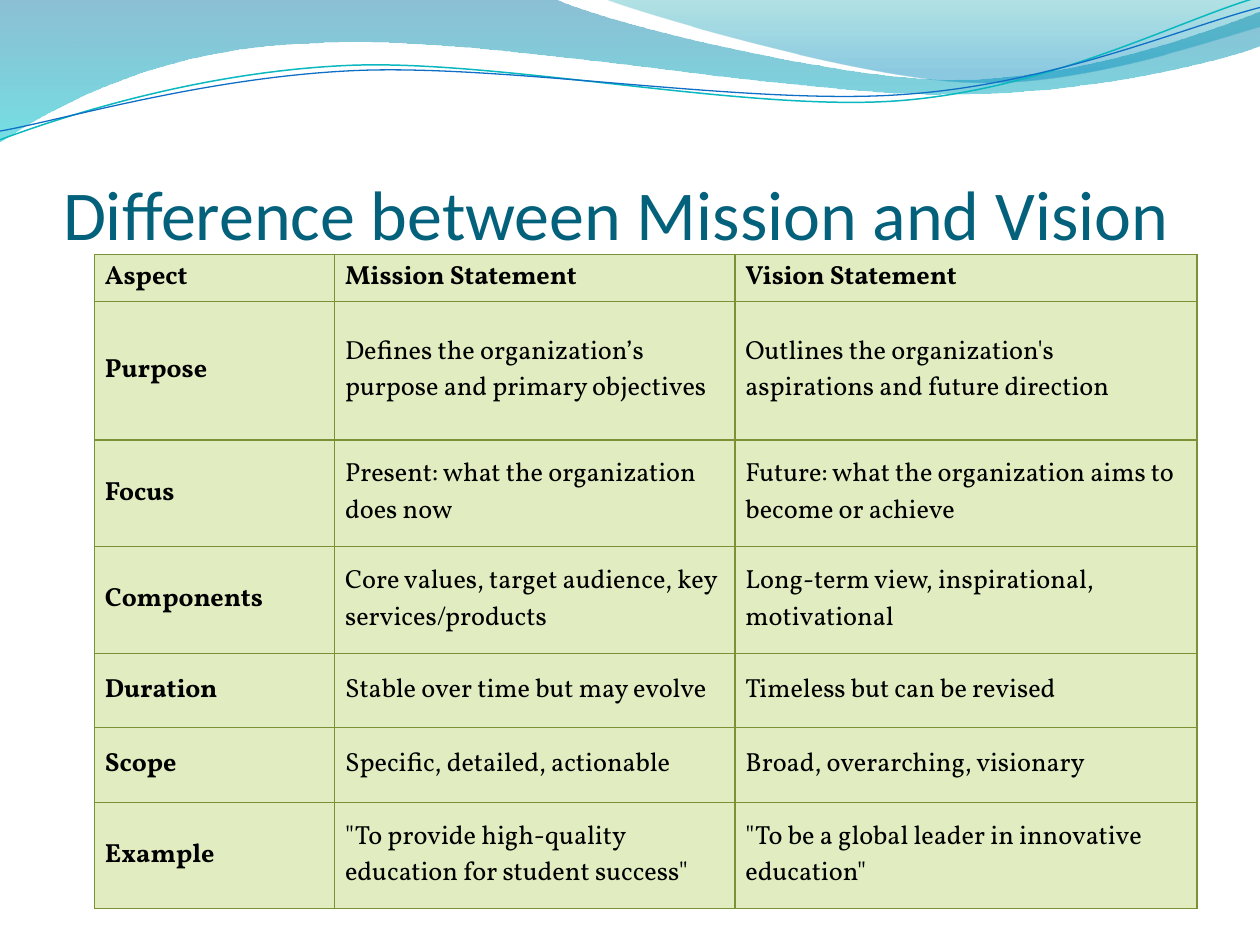
from math import cos, radians, sin
from lxml import etree
from pptx import Presentation
from pptx.dml.color import RGBColor
from pptx.enum.text import MSO_ANCHOR
from pptx.oxml import parse_xml
from pptx.oxml.ns import qn
from pptx.util import Pt


def tint(code):
    return RGBColor.from_string(code)


def trace(start, parts, close):
    dots = [start]
    for part in parts:
        dots += zip(part[::2], part[1::2])
    dots = [(Pt(x), Pt(y)) for x, y in dots]
    build = slide.shapes.build_freeform(*dots[0], scale=1.0)
    build.add_line_segments(dots[1:], close=False)
    shape = build.convert_to_shape()
    shape.shadow.inherit = False
    route = next(shape._element.iter(qn("a:path")))
    lines = iter(route.findall(qn("a:lnTo")))
    for part in parts:
        if len(part) == 2:
            next(lines)
            continue
        first = next(lines)
        first.tag
        curve = etree.Element(qn("a:cubicBezTo"))
        first.addprevious(curve)
        for line in (first, next(lines), next(lines)):
            curve.append(line[0])
            route.remove(line)
    if close:
        etree.SubElement(route, qn("a:close"))
    return shape


deck = Presentation()
deck.slide_width, deck.slide_height = Pt(720), Pt(540)
slide = deck.slides.add_slide(deck.slide_layouts[6])

bands = [
    ((0, 0), [
        (316.8, -0.7),
        (342.7, 12.2, 478.1, 45.4, 545.8, 45.4),
        (614.2, 45.4, 689.8, 18.7, 720, 6.5),
        (720.7, 25.9),
        (707.8, 31.7, 626.4, 54.7, 537.1, 54),
        (447.8, 54, 275, 20.2, 185, 24.5),
        (92.9, 25.9, 33.1, 59.8, -0.7, 81.4),
        (0, 0),
    ], [(0, "0074A1", 45), (1, "00C6CF", 55)]),
    ((344.9, -0.7), [
        (366.5, 7.9, 491, 44.6, 553.7, 46.8),
        (616.3, 49.7, 691.9, 23, 720, 15.1),
        (720, 0),
        (344.9, -0.7),
    ], [(0, "00A1A9", 30), (0.8, "008BBF", 45)]),
]
for start, parts, stops in bands:
    band = trace(start, parts, True)
    band.line.fill.background()
    band.fill.gradient()
    band.fill.gradient_angle = 270
    for stop, (spot, code, alpha) in zip(band.fill.gradient_stops, stops):
        stop.position = spot
        stop.color.rgb = tint(code)
    for node, (spot, code, alpha) in zip(band._element.iter(qn("a:srgbClr")), stops):
        etree.SubElement(node, qn("a:alpha")).set("val", str(alpha * 1000))

waves = [
    ([
        (0, 79.9),
        (34.6, 67, 113.8, 41, 199.4, 37.4),
        (284.4, 33.8, 427, 64.1, 513.4, 57.6),
        (599.8, 51.1, 675.4, 10.8, 718.6, -1.4),
    ], 41.4, "0AB8BF", 0.85),
    ([
        (0, 74.9),
        (33.8, 69.1, 118.1, 43.9, 203.8, 40.3),
        (290.2, 36.7, 429.8, 60.5, 516.2, 54),
        (601.9, 48.2, 677.5, 15.1, 720, 4.3),
    ], 42.5, "0F6FC6", 0.75),
]
turn = radians(2.7)
mid = 359.6
for parts, level, code, width in waves:
    flat = []
    for part in parts:
        spots = []
        for x, y in zip(part[::2], part[1::2]):
            dx, dy = x - mid, y - level
            spots += [mid + dx * cos(turn) - dy * sin(turn),
                      level + dx * sin(turn) + dy * cos(turn)]
        flat.append(tuple(spots))
    wave = trace(flat[0], flat[1:], False)
    wave.rotation = 357.3
    wave.fill.background()
    wave.line.color.rgb = tint(code)
    wave.line.width = Pt(width)

title = slide.shapes.add_textbox(Pt(36), Pt(0), Pt(696), Pt(145.4))
frame = title.text_frame
frame.word_wrap = True
frame.vertical_anchor = MSO_ANCHOR.BOTTOM
frame.margin_left = frame.margin_right = frame.margin_bottom = 0
frame.text = "Difference between Mission and Vision"
font = frame.paragraphs[0].runs[0].font
font.name, font.size = "Calibri", Pt(40)
font.color.rgb = tint("04617B")

rows = [
    (26.9, "Aspect", "Mission Statement", "Vision Statement"),
    (79.2, "Purpose", "Defines the organization’s purpose and primary objectives",
     "Outlines the organization's aspirations and future direction"),
    (61, "Focus", "Present: what the organization does now",
     "Future: what the organization aims to become or achieve"),
    (61, "Components", "Core values, target audience, key services/products",
     "Long-term view, inspirational, motivational"),
    (42.5, "Duration", "Stable over time but may evolve", "Timeless but can be revised"),
    (42.5, "Scope", "Specific, detailed, actionable", "Broad, overarching, visionary"),
    (61, "Example", '"To provide high-quality education for student success"',
     '"To be a global leader in innovative education"'),
]
cols = [137.2, 228.8, 264]
high = sum(row[0] for row in rows)
grid = slide.shapes.add_table(
    len(rows), len(cols), Pt(54), Pt(145.4), Pt(sum(cols)), Pt(high)).table
for col, width in zip(grid.columns, cols):
    col.width = Pt(width)
for r, (height, *texts) in enumerate(rows):
    grid.rows[r].height = Pt(height)
    for c, text in enumerate(texts):
        cell = grid.cell(r, c)
        cell.text = text
        cell.vertical_anchor = MSO_ANCHOR.MIDDLE
        cell.margin_left = cell.margin_right = Pt(6)
        cell.margin_top = cell.margin_bottom = Pt(3)
        font = cell.text_frame.paragraphs[0].runs[0].font
        font.name, font.size = "Vollkorn", Pt(15)
        font.bold = r == 0 or c == 0
        font.color.rgb = tint("000000")
        props = cell._tc.get_or_add_tcPr()
        for side in "LRTB":
            props.append(parse_xml(
                f'<a:ln{side} xmlns:a="http://schemas.openxmlformats.org/drawingml/2006/main" '
                f'w="{Pt(0.75)}"><a:solidFill><a:srgbClr val="7B9135"/></a:solidFill></a:ln{side}>'))
        cell.fill.solid()
        cell.fill.fore_color.rgb = tint("E1EDC0")

deck.save("out.pptx")
